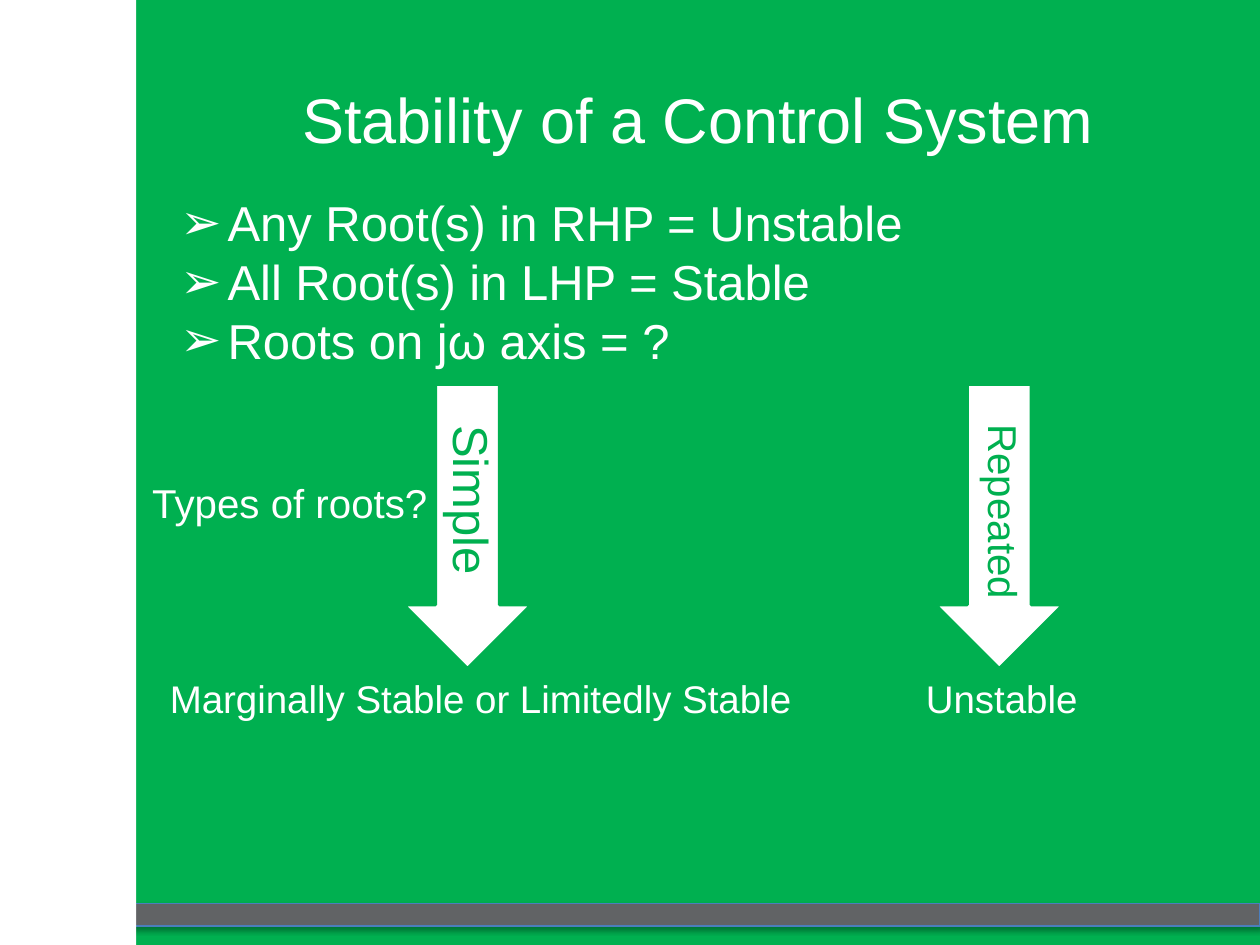
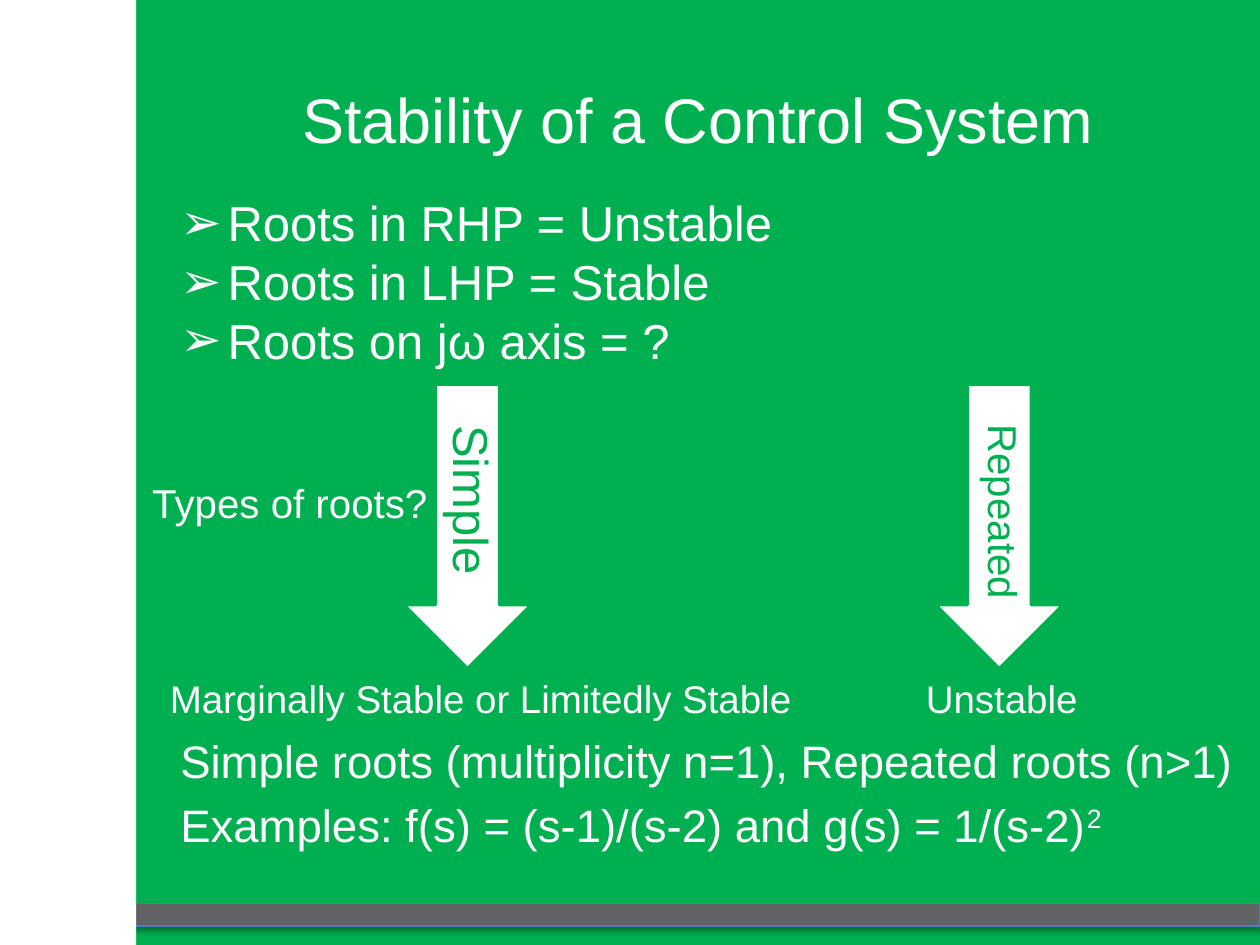
from lxml.etree import SubElement
from pptx import Presentation
from pptx.dml.color import RGBColor
from pptx.enum.shapes import MSO_SHAPE
from pptx.enum.text import MSO_ANCHOR, MSO_AUTO_SIZE, PP_ALIGN
from pptx.oxml.ns import qn
from pptx.util import Pt

GREEN = RGBColor(0x00, 0xB0, 0x50)
WHITE = RGBColor(0xFF, 0xFF, 0xFF)
GREY = RGBColor(0x61, 0x63, 0x65)
BLUE = RGBColor(0x4B, 0x7E, 0xBC)
FONT = "Arial"
WIDTH, HEIGHT = 720, 540

TITLE = "Stability of a Control System"
SLIDES = [
    {
        "criteria": ["Any Root(s) in RHP = Unstable", "All Root(s) in LHP = Stable", "Roots on jω axis = ?"],
        "notes": [],
        "body_height": 433.4,
    },
    {
        "criteria": ["Roots in RHP = Unstable", "Roots in LHP = Stable", "Roots on jω axis = ?"],
        "notes": [
            ("Simple roots (multiplicity n=1), Repeated roots (n>1)", "", 208),
            ("Examples: f(s) = (s-1)/(s-2) and g(s) = 1/(s-2)", "2", 5),
        ],
        "body_height": 376.6,
    },
]
ROOT_TYPES = [
    ("Simple", 28, (185.8, 264.2), (216.7, 268.6, 106.6, 41)),
    ("Repeated", 23, (489.6, 264.2), (511.2, 280.1, 124.6, 35.3)),
]
ARROW_SIZE = (162.7, 73.4)
CAPTIONS = [
    ("Types of roots?", 23, (79.9, 270, 172.8, 35.3)),
    ("Marginally Stable or Limitedly Stable", 22, (90, 382.3, 374.4, 33.8)),
    ("Unstable", 22, (522, 382.3, 102.2, 33.8)),
]
TITLE_FRAME = (64.1, 39.6, 669.6, 56.2)
BODY_LEFT, BODY_TOP, BODY_WIDTH = 95.8, 106.6, 624.2
HANGING_INDENT = 27


def place(shape, left, top, width, height):
    shape.left, shape.top = Pt(left), Pt(top)
    shape.width, shape.height = Pt(width), Pt(height)


def style(para, size, colour, align):
    para.alignment = align
    for span in para.runs:
        span.font.name = FONT
        span.font.size = Pt(size)
        span.font.color.rgb = colour


def add_filled(shapes, kind, frame, fill, line=None, line_width=0):
    shape = shapes.add_shape(kind, *map(Pt, frame))
    shape.shadow.inherit = False
    shape.fill.solid()
    shape.fill.fore_color.rgb = fill
    if line is None:
        shape.line.fill.background()
    else:
        shape.line.color.rgb = line
        shape.line.width = Pt(line_width)
    return shape


def add_label(shapes, text, size, frame, colour=WHITE, align=PP_ALIGN.LEFT, wrap=False):
    box = shapes.add_textbox(*map(Pt, frame))
    box.text_frame.text = text
    box.text_frame.word_wrap = wrap
    box.text_frame.auto_size = MSO_AUTO_SIZE.SHAPE_TO_FIT_TEXT
    style(box.text_frame.paragraphs[0], size, colour, align)
    place(box, *frame)
    return box


def add_band_shadow(band):
    effects = band.element.spPr.find(qn("a:effectLst"))
    shadow = SubElement(effects, qn("a:outerShdw"), blurRad=str(Pt(3.1)), dist=str(Pt(1.8)),
                        dir="5400000", rotWithShape="0")
    colour = SubElement(shadow, qn("a:srgbClr"), val="000000")
    SubElement(colour, qn("a:alpha"), val="35000")


def dress_master(master, page):
    master.background.fill.solid()
    master.background.fill.fore_color.rgb = GREEN
    band = add_filled(page.shapes, MSO_SHAPE.RECTANGLE, (0, 516.2, WIDTH, 13), GREY, BLUE, 0.75)
    add_band_shadow(band)
    strip = add_filled(page.shapes, MSO_SHAPE.RECTANGLE, (0, 0, 77.8, HEIGHT), WHITE)
    first = master.placeholders[0].element
    for shape in (band, strip):
        first.addprevious(shape.element)


def set_bullet(para, character):
    properties = para._p.get_or_add_pPr()
    properties.set("marL", str(Pt(HANGING_INDENT)))
    properties.set("indent", str(-Pt(HANGING_INDENT)))
    if character:
        SubElement(properties, qn("a:buFont"), typeface=FONT)
        SubElement(properties, qn("a:buChar"), char=character)
    else:
        SubElement(properties, qn("a:buNone"))


def fill_title(title):
    place(title, *TITLE_FRAME)
    title.text_frame.text = TITLE
    title.text_frame.vertical_anchor = MSO_ANCHOR.MIDDLE
    style(title.text_frame.paragraphs[0], 36, WHITE, PP_ALIGN.CENTER)


def fill_body(body, content):
    place(body, BODY_LEFT, BODY_TOP, BODY_WIDTH, content["body_height"])
    frame = body.text_frame
    frame.auto_size = MSO_AUTO_SIZE.NONE
    lines = [(text, "", 0, 28, "➢") for text in content["criteria"]]
    lines += [(*note, 26, None) for note in content["notes"]]
    for index, (text, exponent, space, size, bullet) in enumerate(lines):
        para = frame.add_paragraph() if index else frame.paragraphs[0]
        para.text = text
        para.space_before = Pt(space)
        if exponent:
            span = para.add_run()
            span.text = exponent
            span._r.get_or_add_rPr().set("baseline", "30000")
        set_bullet(para, bullet)
        style(para, size, WHITE, PP_ALIGN.JUSTIFY)


def add_root_type(shapes, name, size, arrow_corner, label_frame):
    group = shapes.add_group_shape()
    arrow = add_filled(group.shapes, MSO_SHAPE.RIGHT_ARROW, arrow_corner + ARROW_SIZE, WHITE, GREEN, 2)
    label = add_label(group.shapes, name, size, label_frame, GREEN, PP_ALIGN.JUSTIFY, wrap=True)
    arrow.rotation = label.rotation = 90


def main():
    deck = Presentation()
    deck.slide_width, deck.slide_height = Pt(WIDTH), Pt(HEIGHT)
    layout = deck.slide_layouts[1]
    for index, content in enumerate(SLIDES):
        page = deck.slides.add_slide(layout)
        if index == 0:
            dress_master(deck.slide_master, page)
        fill_title(page.shapes.title)
        fill_body(page.placeholders[1], content)
        for root_type in ROOT_TYPES:
            add_root_type(page.shapes, *root_type)
        for caption in CAPTIONS:
            add_label(page.shapes, *caption)
    deck.save("out.pptx")


if __name__ == "__main__":
    main()
